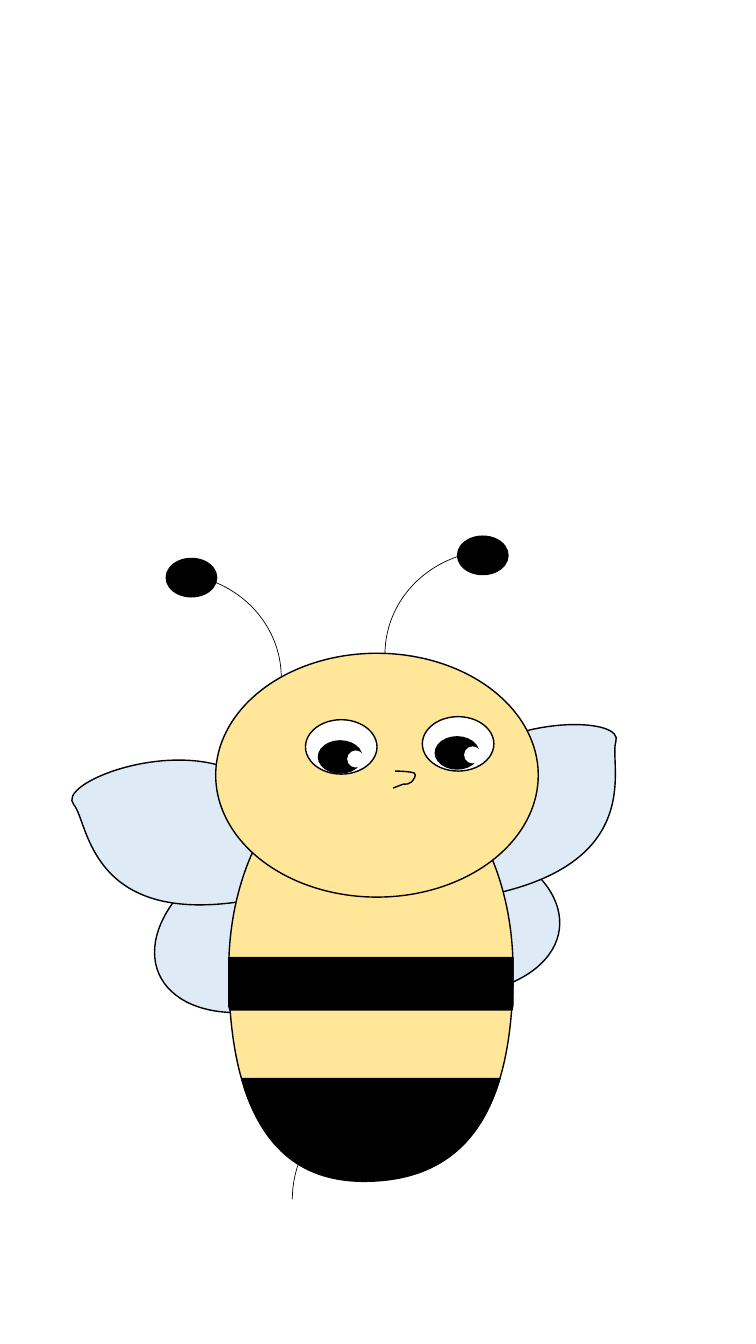
from math import cos, radians, sin

from lxml import etree
from pptx import Presentation
from pptx.dml.color import RGBColor
from pptx.enum.shapes import MSO_SHAPE as Preset
from pptx.oxml.ns import qn
from pptx.util import Pt

COLORS = {"white": "FFFFFF", "black": "000000", "wing": "DEEBF7", "honey": "FFE699"}

# Outlines in points from the top left of the bee's box:
# a pair is a corner, six numbers are the two controls and the end of a curve.
RIGHT_WING = [
    (295.9, 333.8),
    (470.9, 323.8, 434.2, 235.2, 439.9, 217.9),
    (446.4, 200.6, 371.5, 198.5, 331.9, 230.9),
    (291.6, 262.6, 121.7, 344.6, 295.9, 333.8),
]
LEFT_WING = [
    (229, 318),
    (62.6, 372, 64.8, 276.2, 52.6, 262.6),
    (41, 248.9, 109.4, 220.1, 158.4, 235.2),
    (207.4, 250.3, 395.3, 264.7, 229, 318),
]
BODY = [
    (265, 531.1),
    (185.8, 534, 163.4, 463.4, 163.4, 380.6),
    (163.4, 297.1, 208.8, 229.4, 265, 229.4),
    (321.1, 229.4, 366.5, 297.1, 366.5, 380.6),
    (366.5, 463.4, 344.2, 529, 265, 531.1),
]
STRIPE = [
    (163.4, 372), (366.5, 372), (366.5, 387.1),
    (366.5, 393.6, 366.5, 400, 366.5, 405.8),
    (365.8, 409.4), (164.2, 409.4), (163.4, 406.6),
    (163.4, 400, 163.4, 393.6, 163.4, 387.1),
    (163.4, 372),
]
TAIL = [
    (172.8, 458.4), (357.1, 458.4), (355, 464.9),
    (341.3, 504.5, 313.9, 530.4, 264.2, 531.8),
    (214.6, 533.3, 188.6, 506.6, 175, 466.3),
    (172.8, 458.4),
]
MOUTH = [
    (282.2, 238.8),
    (288, 238.8, 294.5, 239.5, 295.9, 240.2),
    (298.1, 241.7, 295.2, 245.3, 293.8, 246.7),
    (292.3, 248.2, 290.2, 248.2, 288, 248.2),
    (285.8, 248.9, 280.8, 251, 280.8, 251),
    (280.8, 251),
]


def paint(part, fill, line="black", width=1):
    part.shadow.inherit = False
    if fill:
        part.fill.solid()
        part.fill.fore_color.rgb = RGBColor.from_string(COLORS[fill])
    else:
        part.fill.background()
    if line:
        part.line.color.rgb = RGBColor.from_string(COLORS[line])
        part.line.width = Pt(width)
    else:
        part.line.fill.background()


def add_preset(shapes, preset, box, fill, line="black", width=1, rotation=0, flips=""):
    part = shapes.add_shape(preset, *map(Pt, box))
    paint(part, fill, line, width)
    part.rotation = rotation
    for axis in flips:
        part._element.spPr.xfrm.set("flip" + axis, "1")


def add_oval(shapes, box, fill, line="black", rotation=0, flips="H"):
    add_preset(shapes, Preset.OVAL, box, fill, line, rotation=rotation, flips=flips)


def add_arc(shapes, box, flips=""):
    add_preset(shapes, Preset.ARC, box, None, width=0.5, flips=flips)


def turn_back(x, y, box, rotation):
    """Undo the rotation about the box's middle; return a point inside the box."""
    left, top, width, height = box
    angle = radians(-rotation)
    dx, dy = x - left - width / 2, y - top - height / 2
    return (width / 2 + dx * cos(angle) - dy * sin(angle),
            height / 2 + dx * sin(angle) + dy * cos(angle))


def add_outline(shapes, left, top, box, outline, fill, rotation=0, closed=True):
    """Draw the outline with true curves in a box turned by the rotation."""
    x, y, width, height = box
    x, y = left + x, top + y
    builder = shapes.build_freeform(Pt(x), Pt(y))
    builder.add_line_segments([(Pt(x + width), Pt(y + height))], close=False)
    part = builder.convert_to_shape()
    path = part._element.xpath(".//a:path")[0]
    for command in list(path):
        path.remove(command)
    for index, segment in enumerate(outline):
        tag = "a:cubicBezTo" if len(segment) == 6 else "a:lnTo" if index else "a:moveTo"
        command = etree.SubElement(path, qn(tag))
        for point in zip(segment[::2], segment[1::2]):
            px, py = turn_back(*point, box, rotation)
            etree.SubElement(command, qn("a:pt"), x=str(Pt(px)), y=str(Pt(py)))
    if closed:
        etree.SubElement(path, qn("a:close"))
    part.rotation = rotation
    paint(part, fill)


def add_wings(shapes, left, top):
    add_oval(shapes, (left + 215.3, top + 282, 185, 116), "wing", rotation=7.4, flips="V")
    add_outline(shapes, left, top, (221.8, 226.6, 240.5, 114.5), RIGHT_WING, "wing", 321.2)
    add_oval(shapes, (left + 105.8, top + 288.5, 185, 116), "wing", rotation=336.3, flips="HV")
    add_outline(shapes, left, top, (47.5, 231.6, 240.5, 114.5), LEFT_WING, "wing", 17.5)


def add_eyes(shapes, left, top):
    for x, y in [(301.7, 199.9), (218.2, 202.1)]:
        add_oval(shapes, (left + x, top + y, 51.1, 38.9), "white")
    for x, y in [(227.5, 217.2), (311, 214.3)]:
        add_oval(shapes, (left + x, top + y, 31, 23), "black")
        add_oval(shapes, (left + x + 20.5, top + y + 6.9, 12.2, 12.2), "white",
                 line=None, flips="V")


def add_head(shapes, left, top):
    add_oval(shapes, (left + 154.1, top + 154.6, 230.4, 174.2), "honey", flips="")
    for x, y, flips in [(275, 81.1, "H"), (43.2, 97.7, "")]:
        add_arc(shapes, (left + x, top + y, 157.7, 148.3), flips)
    for x, y in [(326.9, 71), (118.8, 86.9)]:
        add_oval(shapes, (left + x, top + y, 36, 27.4), "black")
    add_eyes(shapes, left, top)


def add_bee(slide, left, top):
    shapes = slide.shapes.add_group_shape().shapes
    add_wings(shapes, left, top)
    add_arc(shapes, (left + 208.8, top + 467, 157.7, 155.5), "H")  # sting
    add_outline(shapes, left, top, (113.8, 278.4, 302.4, 203.8), BODY, "honey", 270)
    add_head(shapes, left, top)
    add_outline(shapes, left, top, (163.4, 372, 203.8, 37.4), STRIPE, "black")
    add_outline(shapes, left, top, (172.8, 458.4, 184.3, 73.4), TAIL, "black")
    add_outline(shapes, left, top, (280.8, 238.8, 15.8, 12.2), MOUTH, None, closed=False)


def main():
    deck = Presentation()
    deck.slide_width, deck.slide_height = Pt(540), Pt(960)
    slide = deck.slides.add_slide(deck.slide_layouts[6])
    add_preset(slide.shapes, Preset.RECTANGLE, (0, 312, 540, 648), "white", line="white")
    add_bee(slide, 0, 312)
    deck.save("out.pptx")


if __name__ == "__main__":
    main()
